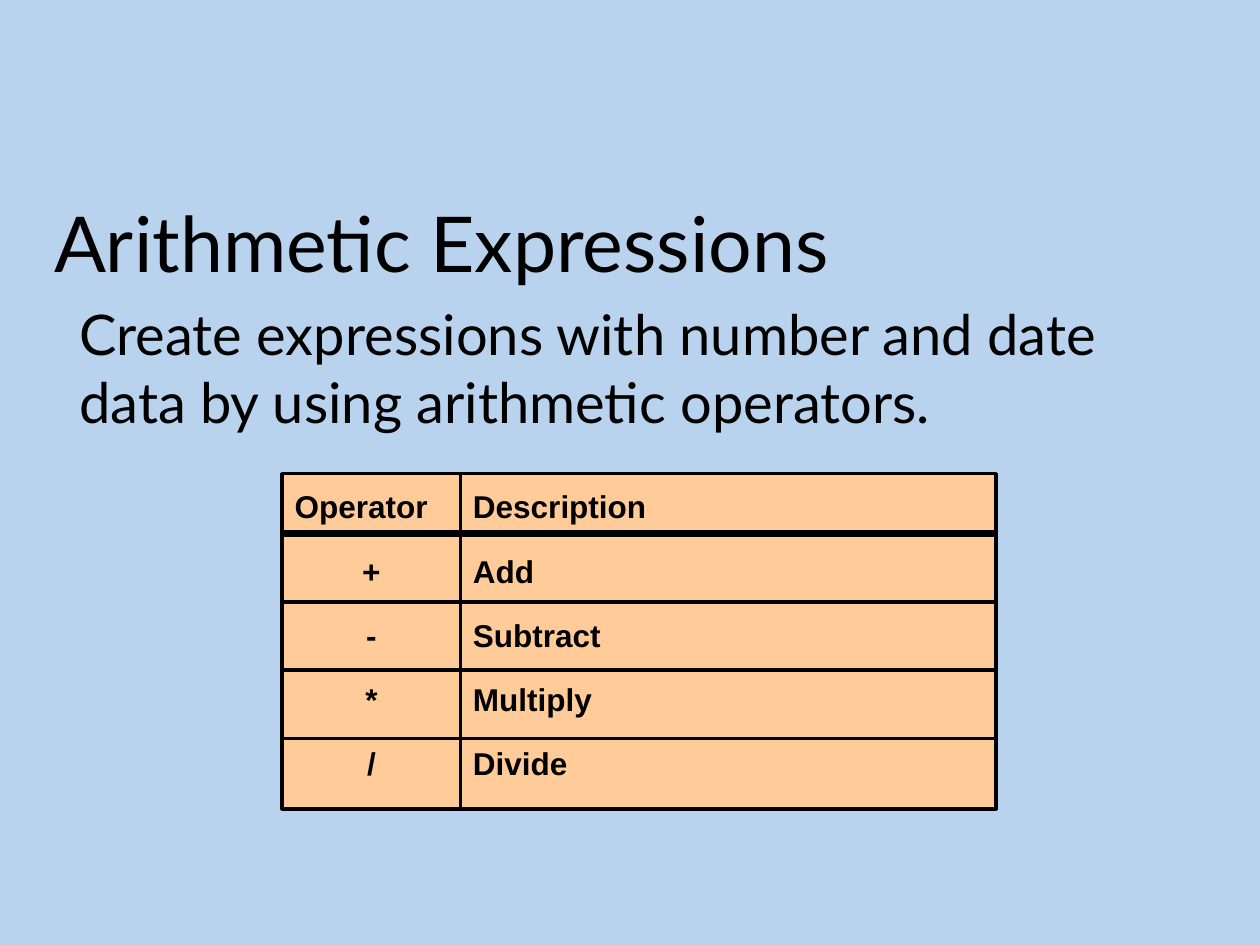
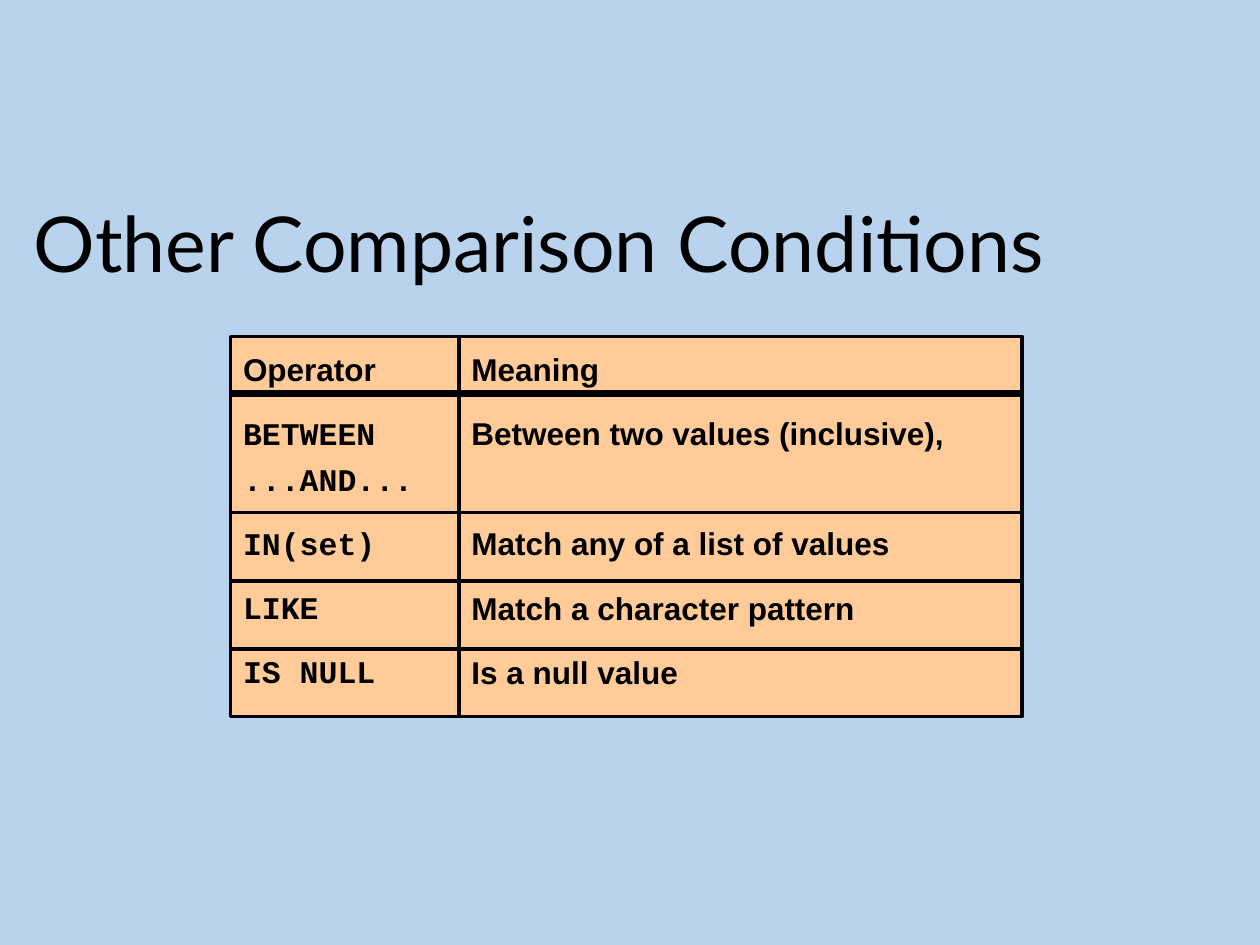
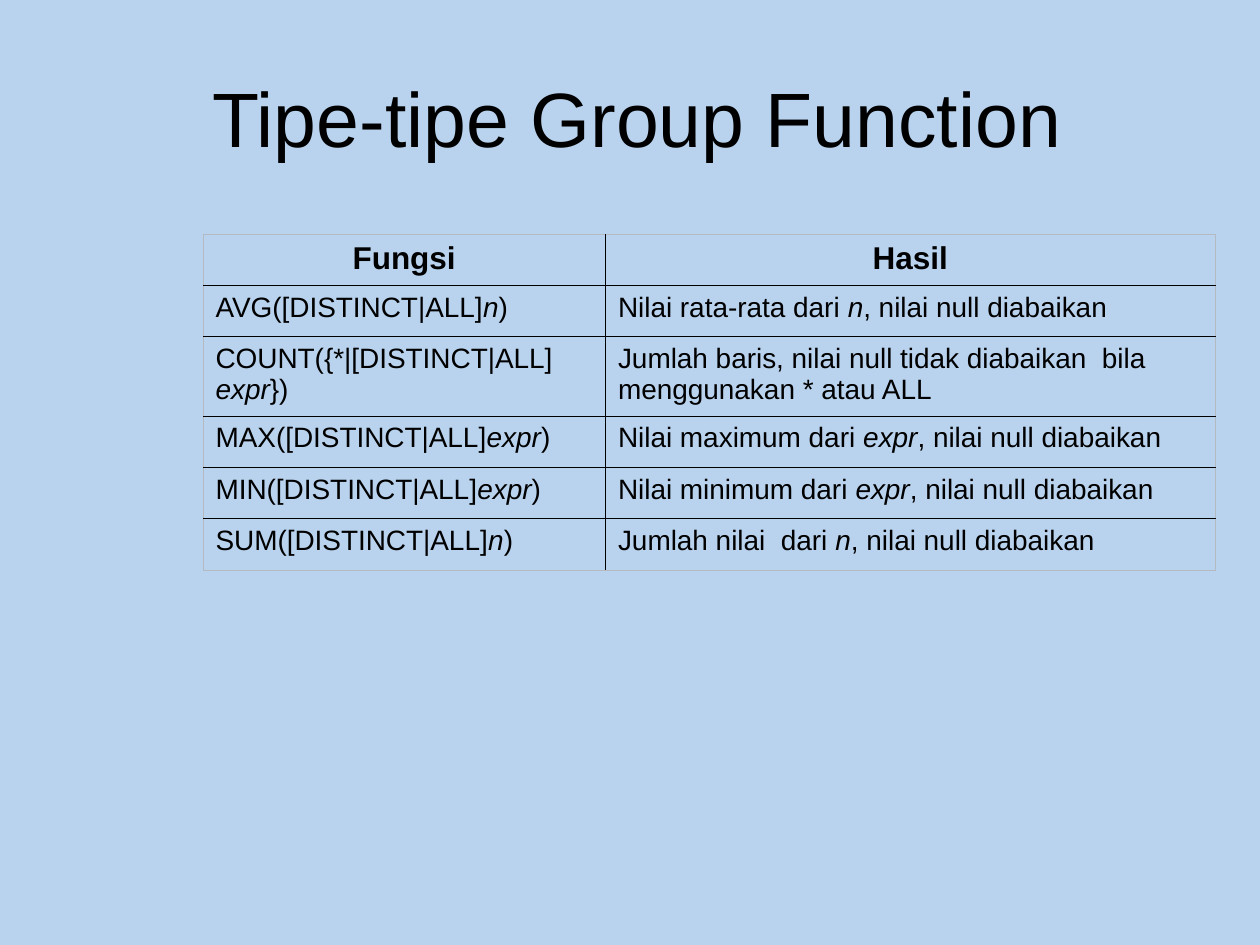
from dataclasses import dataclass

from lxml import etree
from pptx import Presentation
from pptx.dml.color import RGBColor
from pptx.enum.shapes import MSO_CONNECTOR, MSO_SHAPE
from pptx.enum.text import MSO_ANCHOR, PP_ALIGN
from pptx.oxml.ns import qn
from pptx.util import Pt

LEFT, CENTER = PP_ALIGN.LEFT, PP_ALIGN.CENTER
TOP, MIDDLE = MSO_ANCHOR.TOP, MSO_ANCHOR.MIDDLE
RECTANGLE = MSO_SHAPE.RECTANGLE
STRAIGHT = MSO_CONNECTOR.STRAIGHT
BLANK_LAYOUT = 6


@dataclass(frozen=True)
class Theme:
    background: str = "B9D3EE"
    panel: str = "FFCC99"
    ink: str = "000000"
    faint: str = "B4BAC2"
    heading_font: str = "Lato"
    text_font: str = "Arial"
    code_font: str = "Courier New"
    title_size: float = 44
    body_size: float = 32
    label_size: float = 18
    cell_size: float = 16
    thick: float = 4
    medium: float = 2
    thin: float = 1
    hairline: float = 0.25
    panel_spacing: float = 1.2
    panel_gap: float = 10.8
    panel_line: float = 26.2


class Deck:
    def __init__(self, theme):
        self.theme = theme
        self.file = Presentation()
        self.file.slide_width, self.file.slide_height = Pt(720), Pt(540)
        self.page = None

    def add_page(self):
        layout = self.file.slide_layouts[BLANK_LAYOUT]
        self.page = self.file.slides.add_slide(layout)
        fill = self.page.background.fill
        fill.solid()
        fill.fore_color.rgb = RGBColor.from_string(self.theme.background)

    def add_span(self, para, text, font, size, bold=False, italic=False):
        span = para.add_run()
        span.text = text
        span.font.name = font
        span.font.size = Pt(size)
        span.font.bold = bold
        span.font.italic = italic
        span.font.color.rgb = RGBColor.from_string(self.theme.ink)

    def add_text(self, text, left, top, width, height, size, font=None, anchor=TOP):
        box = self.page.shapes.add_textbox(Pt(left), Pt(top), Pt(width), Pt(height))
        frame = box.text_frame
        frame.word_wrap = True
        frame.vertical_anchor = anchor
        self.add_span(frame.paragraphs[0], text, font or self.theme.heading_font, size)

    def add_title(self, text, left, top=108, width=656, height=50.4, **style):
        self.add_text(text, left, top, width, height, self.theme.title_size, **style)

    def add_panel(self, entries, left, top, width, height, align, font):
        """Draw one column; entries are (text, count of lines its row needs)."""
        theme = self.theme
        panel = self.page.shapes.add_shape(
            RECTANGLE, Pt(left), Pt(top), Pt(width), Pt(height))
        panel.shadow.inherit = False
        panel.fill.solid()
        panel.fill.fore_color.rgb = RGBColor.from_string(theme.panel)
        panel.line.color.rgb = RGBColor.from_string(theme.ink)
        panel.line.width = Pt(theme.medium)
        frame = panel.text_frame
        frame.word_wrap = True
        frame.vertical_anchor = TOP
        for index, (text, row_lines) in enumerate(entries):
            para = frame.add_paragraph() if index else frame.paragraphs[0]
            para.alignment = align if index else LEFT
            para.line_spacing = theme.panel_spacing
            para.space_before = Pt(theme.panel_gap)
            lines = text.split("\n")
            para.space_after = Pt(theme.panel_line * (row_lines - len(lines)))
            for number, line in enumerate(lines):
                if number:
                    para.add_line_break()
                self.add_span(para, line, font if index else theme.text_font,
                              theme.label_size, bold=True)

    def add_rule(self, left, right, y, weight):
        rule = self.page.shapes.add_connector(
            STRAIGHT, Pt(left), Pt(y), Pt(right), Pt(y))
        rule.line.color.rgb = RGBColor.from_string(self.theme.ink)
        rule.line.width = Pt(weight)
        properties = rule.element.find(qn("p:spPr"))
        etree.SubElement(properties, qn("a:effectLst"))

    def add_operator_grid(self, rows, left, split, right, top, height, rule_ys,
                          key_align=LEFT, key_font=None):
        """Draw two panels side by side with ruled rows across both."""
        theme = self.theme
        row_lines = [max(cell.count("\n") + 1 for cell in row) for row in rows]
        keys, meanings = zip(*rows)
        self.add_panel(zip(keys, row_lines), left, top, split - left, height,
                       key_align, key_font or theme.text_font)
        self.add_panel(zip(meanings, row_lines), split, top, right - split, height,
                       LEFT, theme.text_font)
        for index, y in enumerate(rule_ys):
            self.add_rule(left, right, y, theme.medium if index else theme.thick)

    def set_border(self, cell, side, color, weight):
        properties = cell._tc.get_or_add_tcPr()
        border = etree.SubElement(properties, qn(f"a:{side}"), w=str(Pt(weight)))
        fill = etree.SubElement(border, qn("a:solidFill"))
        etree.SubElement(fill, qn("a:srgbClr"), val=color)

    def add_table(self, rows, left, top, widths, row_height):
        """Draw a table; in each body cell every second span is italic."""
        theme = self.theme
        table = self.page.shapes.add_table(
            len(rows), len(widths), Pt(left), Pt(top),
            Pt(sum(widths)), Pt(row_height * len(rows))).table
        table.first_row = table.horz_banding = False
        for column, width in zip(table.columns, widths):
            column.width = Pt(width)
        for y, row in enumerate(rows):
            table.rows[y].height = Pt(row_height)
            for x, spans in enumerate(row):
                cell = table.cell(y, x)
                para = cell.text_frame.paragraphs[0]
                para.alignment = LEFT if y else CENTER
                for index, text in enumerate(spans):
                    self.add_span(para, text, theme.text_font,
                                  theme.cell_size if y else theme.label_size,
                                  bold=y == 0, italic=index % 2 == 1)
                outer_edges = {"lnL": x == 0, "lnR": x == len(widths) - 1,
                               "lnT": y == 0, "lnB": y == len(rows) - 1}
                for side, outer in outer_edges.items():
                    self.set_border(cell, side, theme.faint if outer else theme.ink,
                                    theme.hairline if outer else theme.thin)
                cell.fill.background()


def add_arithmetic_page(deck):
    deck.add_page()
    deck.add_title("Arithmetic Expressions", 23.8)
    deck.add_text("Create expressions with number and date data by using "
                  "arithmetic operators.", 38.2, 167.8, 648, 84.2,
                  deck.theme.body_size)
    rows = [("Operator", "Description"), ("+", "Add"), ("-", "Subtract"),
            ("*", "Multiply"), ("/", "Divide")]
    deck.add_operator_grid(rows, left=161.3, split=263.2, right=569.3, top=270.7,
                           height=191.5, rule_ys=range(305, 423, 39),
                           key_align=CENTER)


def add_comparison_page(deck):
    deck.add_page()
    deck.add_title("Other Comparison Conditions", 12.2)
    rows = [("Operator", "Meaning"),
            ("BETWEEN\n...AND...", "Between two values (inclusive),"),
            ("IN(set)", "Match any of a list of values"),
            ("LIKE", "Match a character pattern"),
            ("IS NULL", "Is a null value")]
    deck.add_operator_grid(rows, left=131.8, split=262.3, right=584, top=192.2,
                           height=217.4, rule_ys=[225, *range(293, 372, 39)],
                           key_font=deck.theme.code_font)


def add_group_function_page(deck):
    deck.add_page()
    deck.add_title("Tipe-tipe Group Function", 114.5, 21.6, 601, 90,
                   font=deck.theme.text_font, anchor=MIDDLE)
    ignored = ", nilai null diabaikan"
    rows = [
        (["Fungsi"], ["Hasil"]),
        (["AVG([DISTINCT|ALL]", "n", ")"], ["Nilai rata-rata dari ", "n", ignored]),
        (["COUNT({*|[DISTINCT|ALL] ", "expr", "})"],
         ["Jumlah baris, nilai null tidak diabaikan  bila menggunakan * atau ALL"]),
        (["MAX([DISTINCT|ALL]", "expr", ")"], ["Nilai maximum dari ", "expr", ignored]),
        (["MIN([DISTINCT|ALL]", "expr", ")"], ["Nilai minimum dari ", "expr", ignored]),
        (["SUM([DISTINCT|ALL]", "n", ")"], ["Jumlah nilai  dari ", "n", ignored]),
    ]
    deck.add_table(rows, 116, 134, [230, 348.5], 29.2)


def main():
    deck = Deck(Theme())
    add_arithmetic_page(deck)
    add_comparison_page(deck)
    add_group_function_page(deck)
    deck.file.save("out.pptx")


if __name__ == "__main__":
    main()
